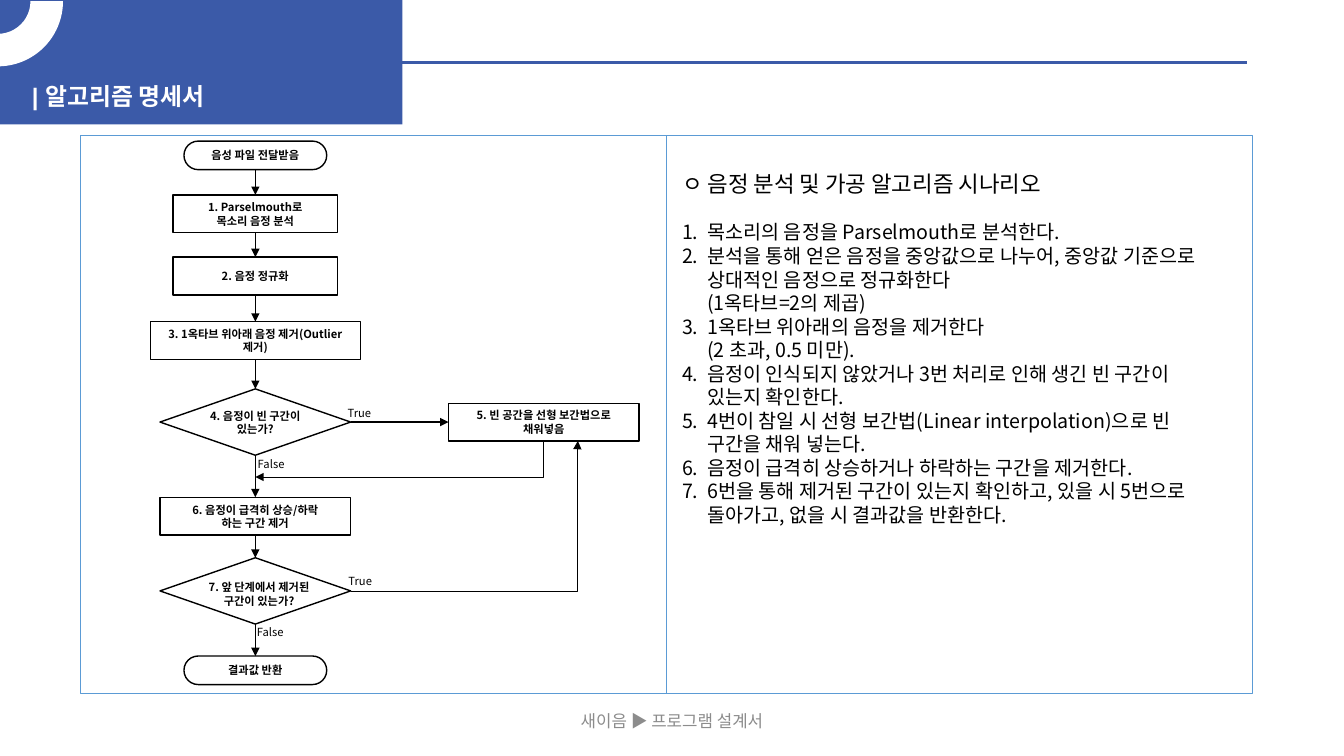
"""Build the algorithm specification slide: a flowchart beside its scenario."""
from dataclasses import dataclass

from lxml import etree
from pptx import Presentation
from pptx.dml.color import RGBColor
from pptx.enum.shapes import MSO_CONNECTOR, MSO_SHAPE
from pptx.enum.text import MSO_ANCHOR, MSO_AUTO_SIZE, PP_ALIGN
from pptx.oxml.ns import qn
from pptx.util import Inches, Pt

RECTANGLE, DIAMOND = MSO_SHAPE.RECTANGLE, MSO_SHAPE.DIAMOND
PILL, ARC = MSO_SHAPE.ROUNDED_RECTANGLE, MSO_SHAPE.BLOCK_ARC
STRAIGHT, ELBOW = MSO_CONNECTOR.STRAIGHT, MSO_CONNECTOR.ELBOW
LEFT, CENTER = PP_ALIGN.LEFT, PP_ALIGN.CENTER
TOP, MIDDLE = MSO_ANCHOR.TOP, MSO_ANCHOR.MIDDLE
FIXED = MSO_AUTO_SIZE.NONE
SIDE_TOP, SIDE_LEFT, SIDE_BOTTOM, SIDE_RIGHT = range(4)


@dataclass(frozen=True)
class Theme:
    brand: RGBColor = RGBColor(0x3B, 0x5A, 0xA8)
    panel: RGBColor = RGBColor(0x5B, 0x9B, 0xD5)
    ink: RGBColor = RGBColor(0, 0, 0)
    paper: RGBColor = RGBColor(0xFF, 0xFF, 0xFF)
    muted: RGBColor = RGBColor(0x8C, 0x8C, 0x8C)
    font: str = "Noto Sans CJK KR"
    title_font: str = "Arial"
    title: int = 17
    heading: int = 16
    body: int = 14
    footer: int = 12
    node: int = 8
    leading: float = 1.2


theme = Theme()
deck = Presentation()
deck.slide_width, deck.slide_height = Inches(13.33), Inches(7.5)
COLUMN, ROW = deck.slide_width / 160, deck.slide_height / 90
page = deck.slides.add_slide(deck.slide_layouts[1])
shapes = page.shapes


def grid(left, top, width, height):
    """Turn columns and rows of the page grid into lengths."""
    return round(left * COLUMN), round(top * ROW), round(width * COLUMN), round(height * ROW)


def write(para, text, size=theme.node, color=theme.ink, bold=False, align=LEFT,
          font=theme.font, before=0):
    """Fill a paragraph with text in one format."""
    para.text = text
    para.alignment = align
    para.line_spacing = Pt(size * theme.leading)
    para.space_before = Pt(before)
    for span in para.runs:
        span.font.size, span.font.bold, span.font.name = Pt(size), bold, font
        span.font.color.rgb = color
        east_asian = etree.SubElement(span.font._element, qn("a:ea"))
        east_asian.set("typeface", theme.font)


for index in range(2):
    panel = shapes.add_shape(RECTANGLE, *grid(9.6 + 69.8 * index, 16.1, 69.7, 66.5))
    panel.shadow.inherit = False
    panel.fill.background()
    panel.line.color.rgb = theme.panel
    panel.line.width = Pt(0.75)

header = shapes.add_shape(RECTANGLE, *grid(0, 0, 47.9, 14.8))
ring = shapes.add_shape(ARC, *grid(-8, -7.6, 15.5, 15.5))
ring.adjustments[0], ring.adjustments[1], ring.adjustments[2] = 0, 118.4, 0.25
for ornament, color in ((header, theme.brand), (ring, theme.paper)):
    ornament.shadow.inherit = False
    ornament.fill.solid()
    ornament.fill.fore_color.rgb = color
    ornament.line.fill.background()

title, scenario = shapes.title, page.placeholders[1]
for holder, place in ((title, (2.6, 9.1, 36.8, 3.8)), (scenario, (80, 19.6, 64.7, 52.1))):
    holder.left, holder.top, holder.width, holder.height = grid(*place)
    holder.text_frame.auto_size = FIXED
    holder.text_frame.word_wrap = True
    holder.text_frame.vertical_anchor = TOP
    holder.element.getparent().append(holder.element)
write(title.text_frame.paragraphs[0], "| 알고리즘 명세서", size=theme.title,
      color=theme.paper, bold=True, font=theme.title_font)

heading = scenario.text_frame.paragraphs[0]
properties = heading._p.get_or_add_pPr()
properties.set("marL", "0")
properties.set("indent", "0")
etree.SubElement(properties, qn("a:buNone"))
write(heading, "ㅇ 음정 분석 및 가공 알고리즘 시나리오", size=theme.heading)

steps = (
    "목소리의 음정을 Parselmouth로 분석한다.",
    "분석을 통해 얻은 음정을 중앙값으로 나누어, 중앙값 기준으로 상대적인 음정으로 정규화한다\n(1옥타브=2의 제곱)",
    "1옥타브 위아래의 음정을 제거한다\n(2 초과, 0.5 미만).",
    "음정이 인식되지 않았거나 3번 처리로 인해 생긴 빈 구간이 있는지 확인한다.",
    "4번이 참일 시 선형 보간법(Linear interpolation)으로 빈 구간을 채워 넣는다.",
    "음정이 급격히 상승하거나 하락하는 구간을 제거한다.",
    "6번을 통해 제거된 구간이 있는지 확인하고, 있을 시 5번으로 돌아가고, 없을 시 결과값을 반환한다.",
)
for index, step in enumerate(steps):
    para = scenario.text_frame.add_paragraph()
    properties = para._p.get_or_add_pPr()
    properties.set("marL", str(Inches(0.25)))
    properties.set("indent", str(-Inches(0.25)))
    bullet_font = etree.SubElement(properties, qn("a:buFont"))
    bullet_font.set("typeface", theme.font)
    etree.SubElement(properties, qn("a:buAutoNum")).set("type", "arabicPeriod")
    write(para, step, size=theme.body, before=0 if index else 17)

AXIS, DETOUR_AXIS = 30.4, 64.75
nodes = (
    (PILL, AXIS, 16.8, 17, 3.4, "음성 파일 전달받음"),
    (RECTANGLE, AXIS, 23.2, 19.6, 4.5, "1. Parselmouth로\n목소리 음정 분석"),
    (RECTANGLE, AXIS, 30.6, 19.6, 4.5, "2. 음정 정규화"),
    (RECTANGLE, AXIS, 38.3, 25, 4.5, "3. 1옥타브 위아래 음정 제거(Outlier 제거)"),
    (DIAMOND, AXIS, 46.3, 22.7, 7.9, ""),
    (RECTANGLE, AXIS, 59.2, 22.7, 4.5, "6. 음정이 급격히 상승/하락\n하는 구간 제거"),
    (DIAMOND, AXIS, 66.4, 22.7, 7.9, ""),
    (PILL, AXIS, 78.1, 17, 3.4, "결과값 반환"),
    (RECTANGLE, DETOUR_AXIS, 48, 22.7, 4.5, "5. 빈 공간을 선형 보간법으로\n채워넣음"),
)
boxes = []
for kind, axis, top, width, height, text in nodes:
    box = shapes.add_shape(kind, *grid(axis - width / 2, top, width, height))
    box.shadow.inherit = False
    box.fill.solid()
    box.fill.fore_color.rgb = theme.paper
    box.line.color.rgb = theme.ink
    box.line.width = Pt(1)
    if kind == PILL:
        box.adjustments[0] = 0.5
    if text:
        box.text_frame.vertical_anchor = MIDDLE
        write(box.text_frame.paragraphs[0], text, bold=True, align=CENTER)
    boxes.append(box)
*spine, detour = boxes
gap_check = spine[4]

links = [(upper, SIDE_BOTTOM, lower, SIDE_TOP) for upper, lower in zip(spine, spine[1:])]
links.append((gap_check, SIDE_RIGHT, detour, SIDE_LEFT))
lines = []
for source, source_side, target, target_side in links:
    link = shapes.add_connector(STRAIGHT, 0, 0, 0, 0)
    link.begin_connect(source, source_side)
    link.end_connect(target, target_side)
    lines.append((link, theme.ink, 1, "a:tailEnd"))

bends = (
    (AXIS, 56.8, DETOUR_AXIS, "a:headEnd"),
    (41.75, 70.35, 68.8, "a:tailEnd"),
)
for start, level, end, arrow in bends:
    bend = shapes.add_connector(ELBOW, *grid(start, level, end, 52.5))
    guide = etree.SubElement(bend._element.spPr.find(".//" + qn("a:avLst")), qn("a:gd"))
    guide.set("name", "adj1")
    guide.set("fmla", "val 99800")
    lines.append((bend, theme.ink, 0.5, arrow))

rule = shapes.add_connector(STRAIGHT, *grid(47.9, 7.4, 148.4, 7.4))
lines.append((rule, theme.brand, 2.25, None))
for line, color, weight, arrow in lines:
    line.line.color.rgb = color
    line.line.width = Pt(weight)
    if arrow:
        etree.SubElement(line.line._get_or_add_ln(), qn(arrow)).set("type", "triangle")
    etree.SubElement(line._element.spPr, qn("a:effectLst"))

question = {"bold": True, "align": CENTER}
footer = {"size": theme.footer, "color": theme.muted, "align": CENTER}
labels = (
    ((22.3, 48.1, 16.2, 4.4), "4. 음정이 빈 구간이\n있는가?", TOP, question),
    ((21.8, 68.5, 18.1, 4.4), "7. 앞 단계에서 제거된\n구간이 있는가?", TOP, question),
    ((40.2, 47.8, 6.5, 2.9), "True", TOP, {}),
    ((40.3, 67.8, 6.5, 2.9), "True", TOP, {}),
    ((29.5, 53.8, 7, 2.9), "False", TOP, {}),
    ((29.4, 73.8, 7, 2.9), "False", TOP, {}),
    ((53, 83.4, 54, 4.8), "새이음 ▶ 프로그램 설계서", MIDDLE, footer),
)
for place, text, anchor, style in labels:
    label = shapes.add_textbox(*grid(*place))
    label.text_frame.word_wrap = True
    label.text_frame.vertical_anchor = anchor
    write(label.text_frame.paragraphs[0], text, **style)

deck.save("out.pptx")
